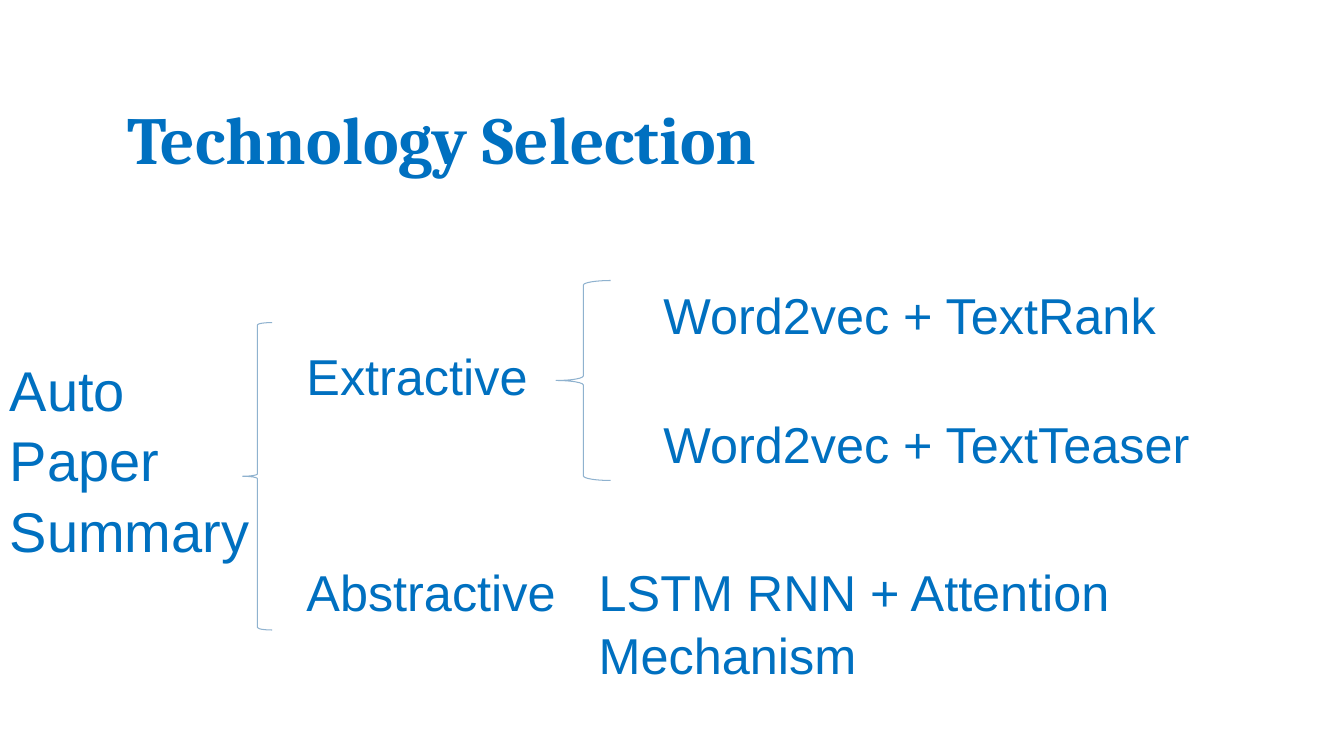
from dataclasses import dataclass

import pptx
import pptx.dml.color
import pptx.enum.shapes
import pptx.enum.text
import pptx.slide
import pptx.util

BLUE = pptx.dml.color.RGBColor(0x00, 0x70, 0xC0)
BRACE_BLUE = pptx.dml.color.RGBColor(0x8F, 0xB2, 0xCF)

SLIDE_WIDTH = pptx.util.Inches(13.333)
SLIDE_HEIGHT = pptx.util.Inches(7.5)
COLUMNS = 16
ROWS = 9
BRANCH_COL = 3.53
METHOD_COL = 7.78
ABSTRACTIVE_ROW = 6.58
LINE_ROWS = 0.85


@dataclass(frozen=True)
class Box:
    col: float
    row: float
    cols: float
    rows: float

    def emu(self) -> tuple[int, int, int, int]:
        return (
            round(self.col * SLIDE_WIDTH / COLUMNS),
            round(self.row * SLIDE_HEIGHT / ROWS),
            round(self.cols * SLIDE_WIDTH / COLUMNS),
            round(self.rows * SLIDE_HEIGHT / ROWS),
        )


@dataclass(frozen=True)
class Label:
    box: Box
    lines: tuple[str, ...]
    size: int = 36
    font: str = "Arial"
    bold: bool = False
    spacing: float = 1.05
    anchor: pptx.enum.text.MSO_ANCHOR = pptx.enum.text.MSO_ANCHOR.TOP


LABELS = (
    Label(Box(1.4, 0.64, 13.2, 2.11), ("Technology Selection",), 48, "Cambria",
          True, 0.9, pptx.enum.text.MSO_ANCHOR.MIDDLE),
    Label(Box(0, 4.13, 3.25, 2.54), ("Auto Paper", "Summary"), 40),
    Label(Box(BRANCH_COL, 4.01, 3.08, LINE_ROWS), ("Extractive",)),
    Label(Box(BRANCH_COL, ABSTRACTIVE_ROW, 3.42, LINE_ROWS), ("Abstractive",)),
    Label(Box(METHOD_COL, 3.29, 6.55, LINE_ROWS), ("Word2vec + TextRank",)),
    Label(Box(METHOD_COL, 4.82, 6.83, LINE_ROWS), ("Word2vec + TextTeaser",)),
    Label(Box(7.01, ABSTRACTIVE_ROW, 7.32, 1.57),
          ("LSTM RNN + Attention Mechanism",)),
)

BRACES = (
    Box(2.89, 3.84, 0.35, 3.66),
    Box(6.62, 3.34, 0.65, 2.38),
)


def add_brace(s: pptx.slide.Slide, box: Box) -> None:
    sp = s.shapes.add_shape(
        pptx.enum.shapes.MSO_SHAPE.LEFT_BRACE, *box.emu())
    sp.shadow.inherit = False
    sp.fill.background()
    sp.line.color.rgb = BRACE_BLUE
    sp.line.width = pptx.util.Pt(0.75)


def add_label(s: pptx.slide.Slide, label: Label) -> None:
    tf = s.shapes.add_textbox(*label.box.emu()).text_frame
    tf.word_wrap = True
    tf.vertical_anchor = label.anchor
    for i, line in enumerate(label.lines):
        p = tf.add_paragraph() if i else tf.paragraphs[0]
        p.line_spacing = label.spacing
        r = p.add_run()
        r.text = line
        r.font.name = label.font
        r.font.size = pptx.util.Pt(label.size)
        r.font.bold = label.bold
        r.font.color.rgb = BLUE


def main() -> None:
    prs = pptx.Presentation()
    prs.slide_width = SLIDE_WIDTH
    prs.slide_height = SLIDE_HEIGHT
    s = prs.slides.add_slide(prs.slide_layouts[6])
    for box in BRACES:
        add_brace(s, box)
    for label in LABELS:
        add_label(s, label)
    prs.save("out.pptx")


if __name__ == "__main__":
    main()
